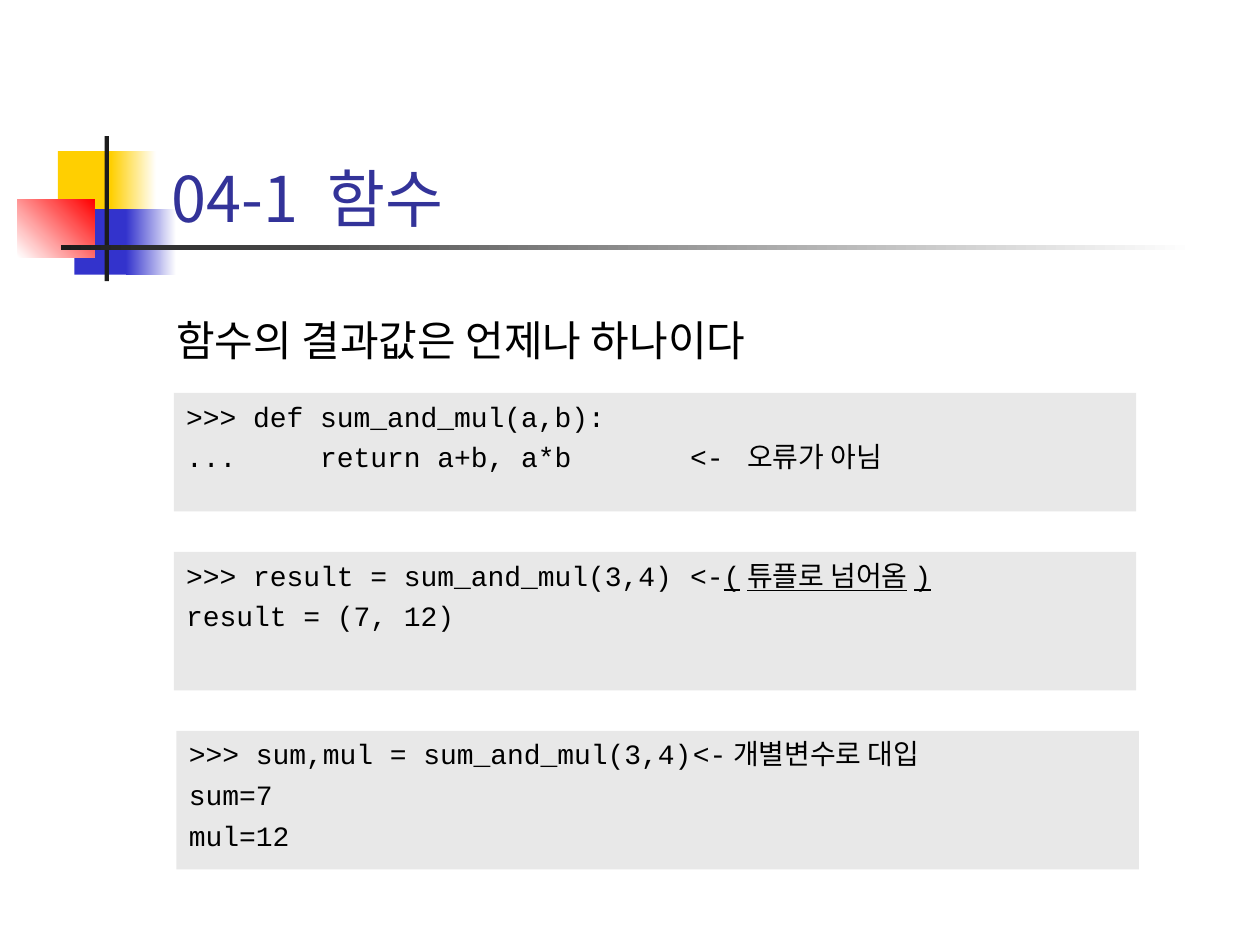
from lxml import etree
from pptx import Presentation
from pptx.dml.color import RGBColor
from pptx.enum.shapes import MSO_SHAPE
from pptx.enum.text import MSO_ANCHOR, MSO_AUTO_SIZE, PP_ALIGN
from pptx.oxml.ns import qn
from pptx.util import Pt

RECT = MSO_SHAPE.RECTANGLE
TOP, BOTTOM = MSO_ANCHOR.TOP, MSO_ANCHOR.BOTTOM
LEFT = PP_ALIGN.LEFT
NO_FIT = MSO_AUTO_SIZE.NONE

WHITE = RGBColor(0xFF, 0xFF, 0xFF)
BLACK = RGBColor(0x00, 0x00, 0x00)
YELLOW = RGBColor(0xFF, 0xCF, 0x01)
BLUE = RGBColor(0x33, 0x33, 0xCC)
RED = RGBColor(0xFF, 0x00, 0x00)
DARK = RGBColor(0x1C, 0x1C, 0x1C)
NAVY = RGBColor(0x33, 0x33, 0x99)
GREY = RGBColor(0xE8, 0xE8, 0xE8)

SANS = "Noto Sans CJK KR"
MONO = "Courier New"


def write(tf, lines, font=SANS, size=16, color=BLACK, before=0, anchor=TOP):
    """Fill a text frame; each line is a list of (text, underline) runs."""
    tf.word_wrap = True
    tf.auto_size = NO_FIT
    tf.vertical_anchor = anchor
    for i, line in enumerate(lines):
        p = tf.add_paragraph() if i else tf.paragraphs[0]
        p.alignment = LEFT
        p.space_before = Pt(before)
        for text, underline in line:
            r = p.add_run()
            r.text = text
            r.font.name = font
            r.font.size = Pt(size)
            r.font.color.rgb = color
            r.font.underline = underline
            ea = etree.SubElement(r.font._element, qn("a:ea"))
            ea.set("typeface", SANS)


class Deck:
    """Hold the presentation, its style and the current slide."""

    def __init__(self, width, height):
        self.prs = Presentation()
        self.prs.slide_width, self.prs.slide_height = Pt(width), Pt(height)
        self.s = self.prs.slides.add_slide(self.prs.slide_layouts[5])

    def rect(self, x, y, w, h, color, end=None, angle=0):
        """Add a plain rectangle, or a gradient one if an end colour is given."""
        sp = self.s.shapes.add_shape(RECT, Pt(x), Pt(y), Pt(w), Pt(h))
        sp.shadow.inherit = False
        sp.line.fill.background()
        if end is None:
            sp.fill.solid()
            sp.fill.fore_color.rgb = color
        else:
            sp.fill.gradient()
            sp.fill.gradient_angle = angle
            for stop, rgb, pos in zip(sp.fill.gradient_stops, (color, end), (0, 1)):
                stop.color.rgb = rgb
                stop.position = pos
        return sp

    def title(self, x, y, w, h, text):
        """Place the title placeholder in front of the ornament."""
        sp = self.s.shapes.title
        sp.left, sp.top, sp.width, sp.height = Pt(x), Pt(y), Pt(w), Pt(h)
        self.s.shapes._spTree.append(sp._element)
        write(sp.text_frame, [[(text, False)]], size=36, color=NAVY, anchor=BOTTOM)

    def heading(self, x, y, w, h, text):
        """Add a heading line."""
        sp = self.s.shapes.add_textbox(Pt(x), Pt(y), Pt(w), Pt(h))
        write(sp.text_frame, [[(text, False)]], size=24, before=6)

    def code(self, x, y, h, lines):
        """Add a grey code panel."""
        sp = self.rect(x, y, 550, h, GREY)
        write(sp.text_frame, lines, font=MONO, before=4)


def main():
    """Build the slide and save it."""
    deck = Deck(720, 540)
    deck.rect(33.1, 86.4, 34.6, 37.4, YELLOW)
    deck.rect(63.4, 86.4, 25.9, 37.4, YELLOW, WHITE)
    deck.rect(42.5, 119.5, 33.1, 37.4, BLUE)
    deck.rect(72, 119.5, 28.8, 37.4, BLUE, WHITE)
    deck.rect(10.1, 113.8, 43.9, 33.1, WHITE, RED, angle=45)
    deck.rect(59.8, 77.8, 2.5, 82.8, DARK)
    deck.rect(34.8, 140.2, 648, 2.5, DARK, WHITE)

    deck.title(90.7, 48.2, 558.7, 90, "04-1 함수")
    deck.heading(93.6, 176.4, 555.8, 36.7, "함수의 결과값은 언제나 하나이다")

    deck.code(99.3, 224.6, 67.7, [
        [(">>> def sum_and_mul(a,b):", False)],
        [("...     return a+b, a*b\t\t<- 오류가 아님", False)],
    ])
    deck.code(99.3, 315.4, 79.2, [
        [(">>> result = sum_and_mul(3,4)\t<-", False), ("(튜플로 넘어옴)", True)],
        [("result = (7, 12)", False)],
    ])
    deck.code(100.8, 417.6, 79.2, [
        [(">>> sum,mul = sum_and_mul(3,4)\t<-개별변수로 대입", False)],
        [("sum=7", False)],
        [("mul=12", False)],
    ])
    deck.prs.save("out.pptx")


if __name__ == "__main__":
    main()
